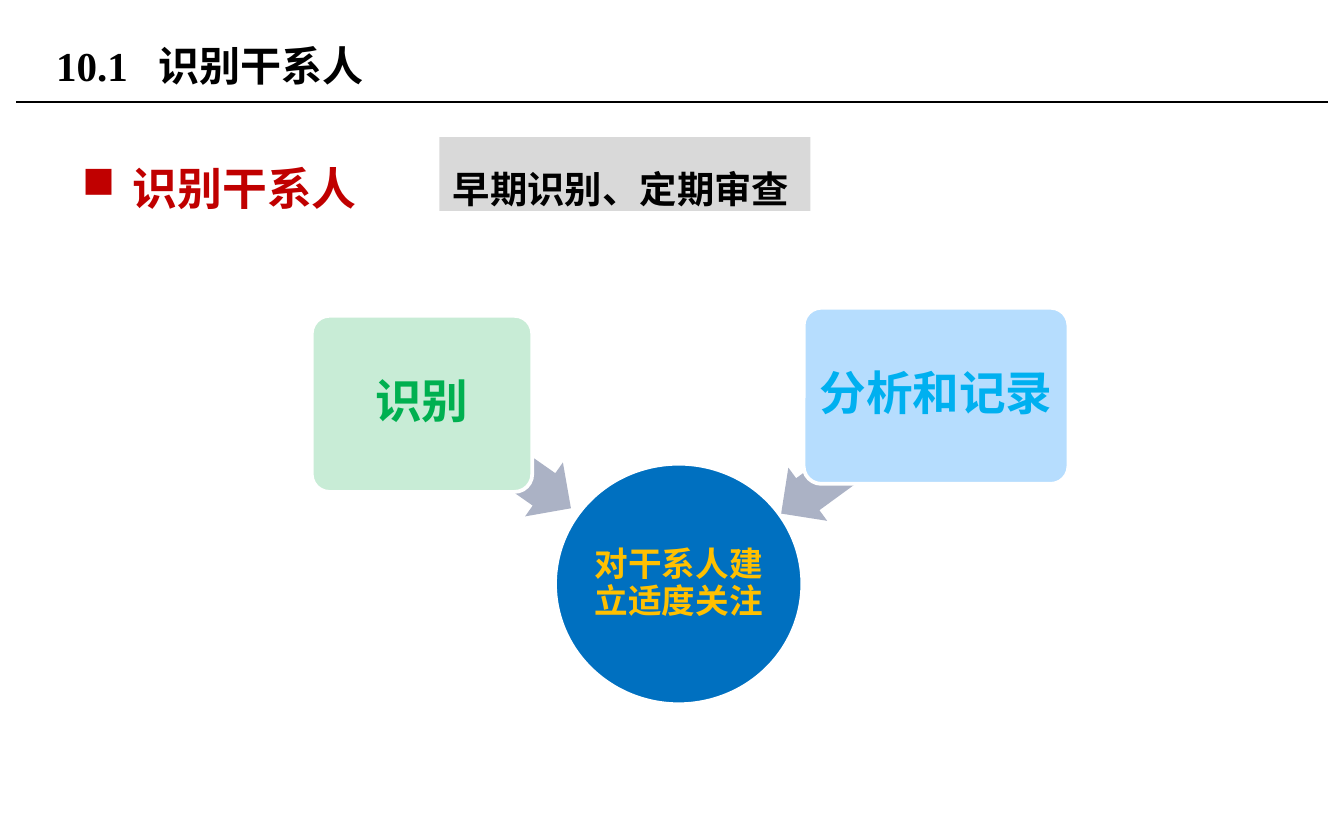
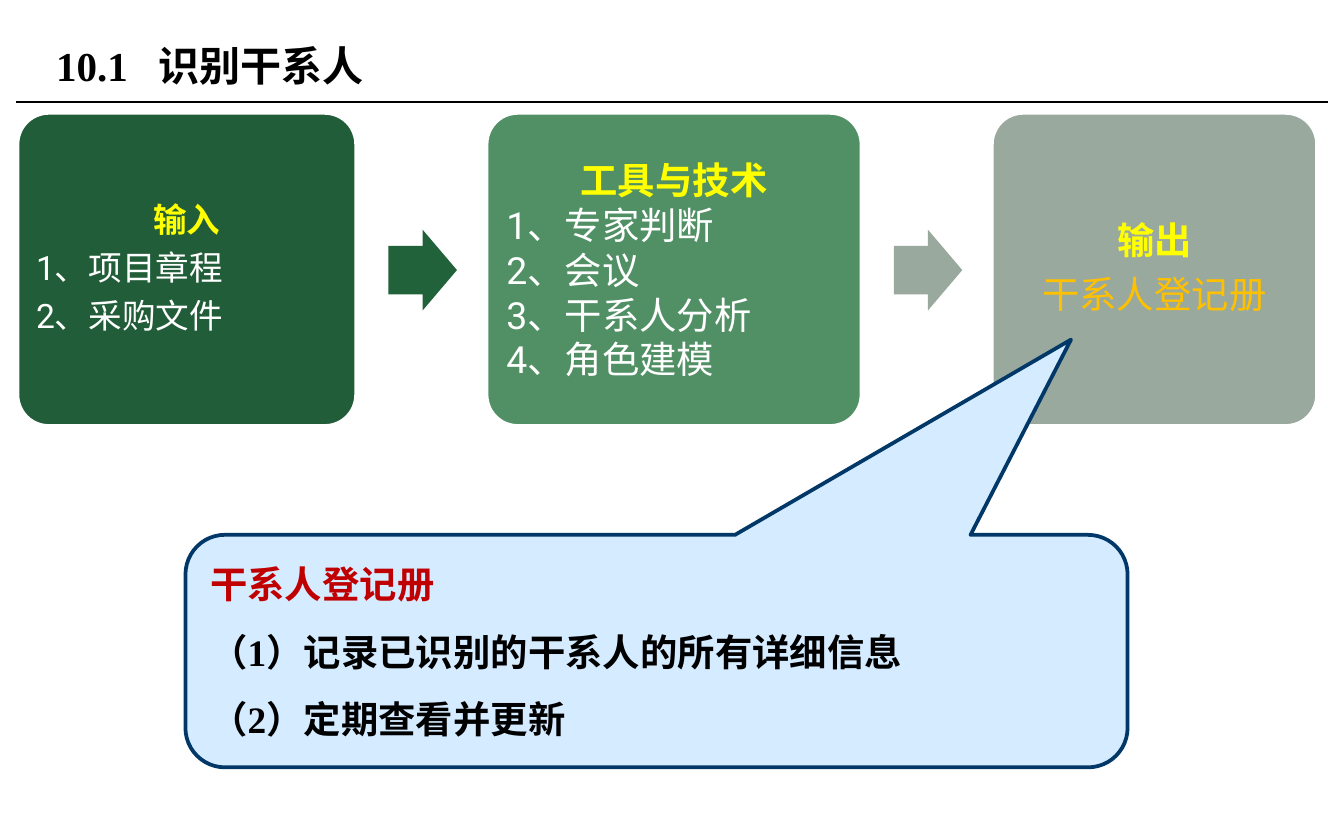
from lxml.etree import SubElement
from pptx import Presentation
from pptx.dml.color import RGBColor
from pptx.enum.shapes import MSO_CONNECTOR, MSO_SHAPE
from pptx.enum.text import MSO_ANCHOR, PP_ALIGN
from pptx.oxml.ns import qn
from pptx.util import Inches, Pt

COLORS = {
    "black": "000000", "white": "FFFFFF", "red": "C00000", "gold": "FFC000",
    "yellow": "FFFF00", "green": "00B050", "sky": "00B0F0", "blue": "0070C0",
    "mint": "C8ECD6", "pale_sky": "B6DDFE", "arrow": "ABB2C5", "grey": "D9D9D9",
    "input": "215D38", "input_arrow": "22623B", "tools": "519065",
    "tools_arrow": "99A99D", "output": "9AA99E",
    "callout": "D5EBFF", "callout_line": "013868",
}
SERIF, SANS = "Times New Roman", "Roboto"
TITLE = "10.1\t识别干系人"
LEFT, CENTER = PP_ALIGN.LEFT, PP_ALIGN.CENTER


def rgb(name):
    return RGBColor.from_string(COLORS[name])


# Text
def style(paragraph, size, color, font=SERIF, bold=True, align=LEFT,
          spacing=None, after=None):
    paragraph.alignment = align
    if spacing:
        paragraph.line_spacing = spacing
    if after:
        paragraph.space_after = Pt(after)
    paragraph.font.name = font
    paragraph.font.size = Pt(size)
    paragraph.font.bold = bold
    paragraph.font.color.rgb = rgb(color)


def write(shape, lines, anchor=MSO_ANCHOR.MIDDLE, inset=None):
    """Fill a shape with (text, style options) lines."""
    frame = shape.text_frame
    frame.word_wrap = True
    frame.vertical_anchor = anchor
    if inset is not None:
        frame.margin_left = frame.margin_right = Inches(inset)
        frame.margin_top = frame.margin_bottom = Inches(inset)
    for index, (text, options) in enumerate(lines):
        paragraph = frame.add_paragraph() if index else frame.paragraphs[0]
        paragraph.text = text
        style(paragraph, **options)


def add_text(page, left, top, width, height):
    return page.shapes.add_textbox(*map(Inches, (left, top, width, height)))


# Shapes
def add_shape(page, kind, area, fill, line=None, adjust=(), rotation=0):
    shape = page.shapes.add_shape(kind, *map(Inches, area))
    shape.shadow.inherit = False
    shape.rotation = rotation
    for index, value in enumerate(adjust):
        shape.adjustments[index] = value
    shape.fill.solid()
    shape.fill.fore_color.rgb = rgb(fill)
    if line:
        shape.line.color.rgb = rgb(line)
        shape.line.width = Pt(2)
    else:
        shape.line.fill.background()
    return shape


def add_card(page, area, fill, lines, inset):
    card = add_shape(page, MSO_SHAPE.ROUNDED_RECTANGLE, area, fill, "white", [0.1])
    write(card, lines, inset=inset)


def add_arrow(page, kind, area, fill, rotation=0):
    add_shape(page, kind, area, fill, adjust=[0.6, 0.5], rotation=rotation)


def diagram_line(text, size, color, **options):
    """Line with the tight leading used inside the diagrams."""
    return text, dict(size=size, color=color, spacing=0.9,
                      after=size * 0.35, **options)


# Shared page frame
def add_page(deck):
    page = deck.slides.add_slide(deck.slide_layouts[6])
    rule = page.shapes.add_connector(
        MSO_CONNECTOR.STRAIGHT, *map(Inches, (0.12, 0.76, 9.88, 0.76)))
    rule.line.color.rgb = rgb("black")
    rule.line.width = Pt(0.75)
    SubElement(rule._element.spPr, qn("a:effectLst"))

    box = add_text(page, 0.32, 0.13, 6.38, 0.71)
    properties = box.text_frame.paragraphs[0]._p.get_or_add_pPr()
    tabs = SubElement(properties, qn("a:tabLst"))
    SubElement(tabs, qn("a:tab"), pos=str(Inches(0.76)), algn="l")
    write(box, [(TITLE, dict(size=22, color="black"))])
    return page


def add_bullet_heading(page, text):
    box = add_text(page, 0.51, 0.95, 8.98, 3.9)
    properties = box.text_frame.paragraphs[0]._p.get_or_add_pPr()
    properties.set("marL", str(Inches(0.38)))
    properties.set("indent", str(-Inches(0.38)))
    SubElement(properties, qn("a:buChar"), char="■")
    write(box, [(text, dict(size=24, color="red", spacing=1.5))], MSO_ANCHOR.TOP)


# Slide 1: two activities lead to one goal
def build_overview(deck):
    page = add_page(deck)
    add_bullet_heading(page, "识别干系人")

    goal = add_shape(page, MSO_SHAPE.OVAL, (4.13, 3.45, 1.84, 1.79), "blue", "white")
    write(goal, [diagram_line("对干系人建立适度关注", 18, "gold", align=CENTER)],
          inset=0.01)

    activities = [
        ("识别", "green", "mint", (2.32, 2.35, 1.64, 1.31),
         (3.02, 3.15, 1.35, 0.49), 215),
        ("分析和记录", "sky", "pale_sky", (5.98, 2.29, 1.97, 1.31),
         (5.68, 3.17, 1.38, 0.49), 323.9),
    ]
    for text, color, fill, card_area, arrow_area, rotation in activities:
        add_arrow(page, MSO_SHAPE.LEFT_ARROW, arrow_area, "arrow", rotation)
        add_card(page, card_area, fill,
                 [diagram_line(text, 25, color, align=CENTER)], inset=0.05)

    note = add_shape(page, MSO_SHAPE.RECTANGLE, (3.27, 1.02, 2.76, 0.55), "grey")
    write(note, [("早期识别、定期审查", dict(size=20, color="black", spacing=1.5))],
          MSO_ANCHOR.TOP)


# Slide 2: inputs, tools and outputs
def build_process(deck):
    page = add_page(deck)
    heading = dict(color="yellow", font=SANS, align=CENTER)
    item = dict(color="white", font=SANS, bold=False)
    input_lines = [diagram_line("输入", 18, **heading)]
    input_lines += [diagram_line(text, 18, **item)
                    for text in ("1、项目章程", "2、采购文件")]
    tool_lines = [("工具与技术", dict(size=20, **heading))]
    tool_lines += [(text, dict(size=20, **item)) for text in
                   ("1、专家判断", "2、会议", "3、干系人分析", "4、角色建模")]
    output_lines = [
        diagram_line("输出", 20, **heading),
        diagram_line("干系人登记册", 20, "gold", font=SANS, bold=False, align=CENTER),
    ]

    steps = [
        (2.52, "input", input_lines, 0.07, "input_arrow"),
        (2.79, "tools", tool_lines, 0.08, "tools_arrow"),
        (2.42, "output", output_lines, 0.08, None),
    ]
    left, gap = 0.13, 0.97
    for width, fill, lines, inset, arrow_fill in steps:
        add_card(page, (left, 0.84, width, 2.33), fill, lines, inset)
        left += width + gap
        if arrow_fill:
            add_arrow(page, MSO_SHAPE.RIGHT_ARROW,
                      (left - 0.73, 1.71, 0.51, 0.6), arrow_fill)

    callout = add_shape(page, MSO_SHAPE.ROUNDED_RECTANGULAR_CALLOUT,
                        (1.38, 3.98, 7.01, 1.73), "callout", "callout_line",
                        [0.44, -1.34, 0.17])
    register = [("干系人登记册", "red"),
                ("（1）记录已识别的干系人的所有详细信息", "black"),
                ("（2）定期查看并更新", "black")]
    write(callout, [(text, dict(size=20, color=color, after=12))
                    for text, color in register])


def main():
    deck = Presentation()
    deck.slide_width = Inches(10)
    deck.slide_height = Inches(6.25)
    build_overview(deck)
    build_process(deck)
    deck.save("out.pptx")


if __name__ == "__main__":
    main()
